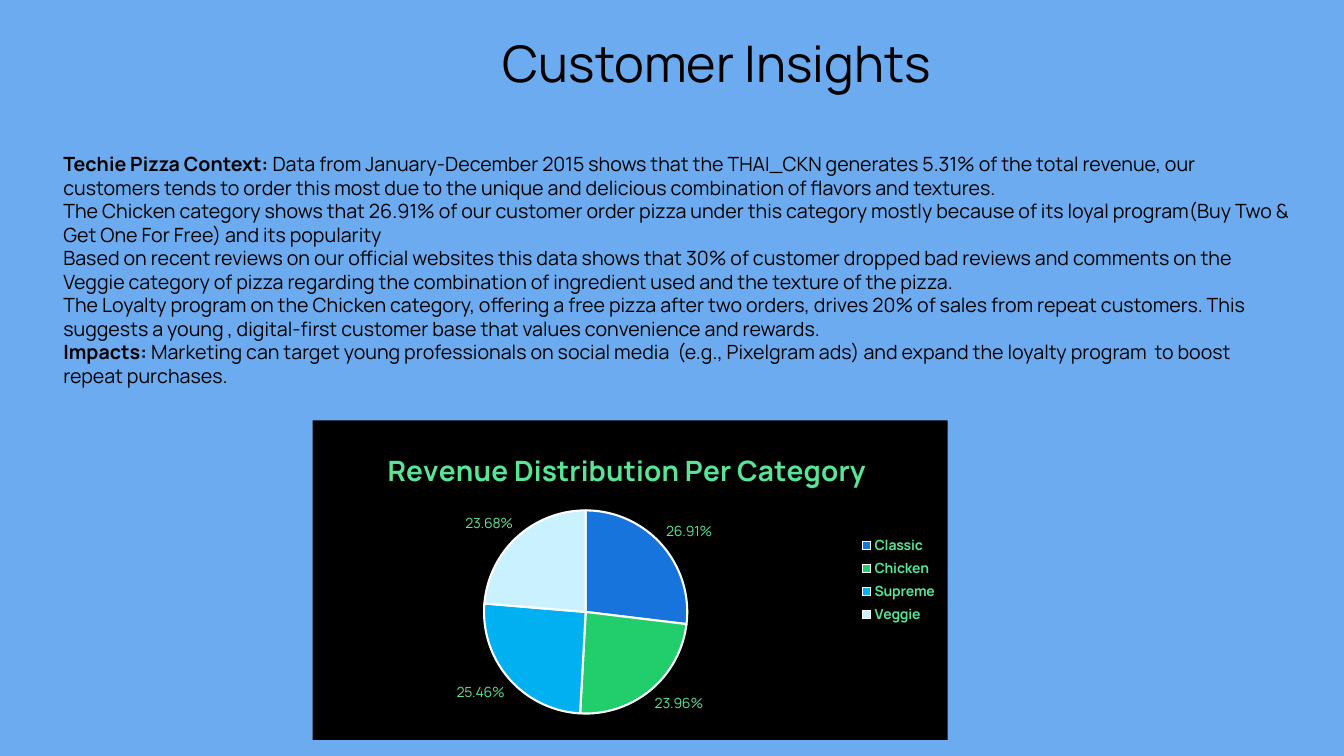
import dataclasses
import typing

import lxml.etree
import pptx
import pptx.chart.data
import pptx.dml.color
import pptx.enum.chart
import pptx.enum.text
import pptx.oxml
import pptx.oxml.ns
import pptx.util

FONT = "Manrope"
COLOURS = {
    "background": "6CABF0",
    "text": "000000",
    "panel": "000000",
    "accent": "5AE495",
    "outline": "FFFFFF",
}


@dataclasses.dataclass(frozen=True)
class Area:
    left: float
    top: float
    width: float
    height: float

    def lengths(self) -> tuple:
        return tuple(map(pptx.util.Inches, dataclasses.astuple(self)))


@dataclasses.dataclass(frozen=True)
class Insight:
    body: str
    lead: str = ""


@dataclasses.dataclass(frozen=True)
class Category:
    name: str
    share: float
    colour: str


INSIGHTS = [
    Insight(
        "Data from January-December 2015 shows that the THAI_CKN generates 5.31% of the total revenue, "
        "our customers tends to order this most due to the unique and delicious combination of flavors "
        "and textures.",
        lead="Techie Pizza Context: ",
    ),
    Insight(
        "The Chicken category shows that 26.91% of our customer order pizza under this category mostly "
        "because of its loyal program(Buy Two & Get One For Free) and its popularity"
    ),
    Insight(
        "Based on recent reviews on our official websites this data shows that 30% of customer dropped "
        "bad reviews and comments on the Veggie category of pizza regarding the combination of ingredient "
        "used and the texture of the pizza."
    ),
    Insight(
        "The Loyalty program on the Chicken category, offering a free pizza after two orders, drives 20% "
        "of sales from repeat customers. This suggests a young , digital-first customer base that values "
        "convenience and rewards."
    ),
    Insight(
        " Marketing can target young professionals on social media  (e.g., Pixelgram ads) and expand the "
        "loyalty program  to boost repeat purchases.",
        lead="Impacts:",
    ),
]

CATEGORIES = [
    Category("Classic", 0.2691, "1674DC"),
    Category("Chicken", 0.2396, "22CD6B"),
    Category("Supreme", 0.2546, "00B0F0"),
    Category("Veggie", 0.2368, "C9F1FF"),
]


def rgb(colour: str) -> pptx.dml.color.RGBColor:
    return pptx.dml.color.RGBColor.from_string(colour)


def style_font(font: typing.Any, size: float, colour: str, bold: bool = False) -> None:
    font.name = FONT
    font.size = pptx.util.Pt(size)
    font.bold = bold
    font.color.rgb = rgb(colour)


def add_heading(page: typing.Any, text: str, area: Area) -> None:
    frame = page.shapes.add_textbox(*area.lengths()).text_frame
    frame.word_wrap = True
    frame.vertical_anchor = pptx.enum.text.MSO_ANCHOR.MIDDLE
    frame.margin_left = frame.margin_right = frame.margin_top = frame.margin_bottom = 0
    frame.text = text
    para = frame.paragraphs[0]
    para.alignment = pptx.enum.text.PP_ALIGN.CENTER
    style_font(para.runs[0].font, 36, COLOURS["text"])


def add_insights(page: typing.Any, insights: list[Insight], area: Area) -> None:
    frame = page.shapes.add_textbox(*area.lengths()).text_frame
    frame.word_wrap = True
    for index, insight in enumerate(insights):
        para = frame.add_paragraph() if index else frame.paragraphs[0]
        for text, bold in ((insight.lead, True), (insight.body, False)):
            if text:
                span = para.add_run()
                span.text = text
                style_font(span.font, 14, COLOURS["text"], bold)


def chart_layout(target: str, **fractions: float) -> typing.Any:
    namespace = pptx.oxml.ns.nsdecls("c")
    layout = pptx.oxml.parse_xml(f"<c:layout {namespace}><c:manualLayout/></c:layout>")
    values = {"xMode": "edge", "yMode": "edge", **fractions}
    if target:
        values = {"layoutTarget": target, **values}
    for name, value in values.items():
        entry = lxml.etree.SubElement(layout[0], pptx.oxml.ns.qn(f"c:{name}"))
        entry.set("val", str(value))
    return layout


def fill_chart_area(chart: typing.Any, colour: str) -> None:
    namespaces = pptx.oxml.ns.nsdecls("c", "a")
    panel = pptx.oxml.parse_xml(
        f'<c:spPr {namespaces}><a:solidFill><a:srgbClr val="{colour}"/></a:solidFill>'
        "<a:ln><a:noFill/></a:ln></c:spPr>"
    )
    chart.element.chart.addnext(panel)


def add_revenue_chart(page: typing.Any, title: str, categories: list[Category], area: Area) -> None:
    data = pptx.chart.data.CategoryChartData(number_format="0.00%")
    data.categories = [category.name for category in categories]
    data.add_series("Series 1", [category.share for category in categories])
    chart = page.shapes.add_chart(pptx.enum.chart.XL_CHART_TYPE.PIE, *area.lengths(), data).chart
    style_font(chart.font, 10, COLOURS["accent"])
    fill_chart_area(chart, COLOURS["panel"])

    chart.has_title = True
    para = chart.chart_title.text_frame.paragraphs[0]
    para.text = title
    style_font(para.runs[0].font, 20, COLOURS["accent"], bold=True)
    title_element = chart.element.chart.find(pptx.oxml.ns.qn("c:title"))
    for automatic in title_element.findall(pptx.oxml.ns.qn("c:layout")):
        title_element.remove(automatic)
    title_element.find(pptx.oxml.ns.qn("c:tx")).addnext(chart_layout("", x=0.11, y=0.07))
    chart.chart_title.include_in_layout = False

    chart.has_legend = True
    chart.legend.position = pptx.enum.chart.XL_LEGEND_POSITION.RIGHT
    chart.legend.include_in_layout = False
    style_font(chart.legend.font, 10, COLOURS["accent"], bold=True)

    plot = chart.plots[0]
    plot.vary_by_categories = True
    series = plot.series[0]
    for index, category in enumerate(categories):
        wedge = series.points[index].format
        wedge.fill.solid()
        wedge.fill.fore_color.rgb = rgb(category.colour)
        wedge.line.color.rgb = rgb(COLOURS["outline"])
        wedge.line.width = pptx.util.Pt(1.5)

    labels = series.data_labels
    labels.show_value = True
    labels.show_percentage = False
    labels.number_format = "0.00%"
    labels.number_format_is_linked = False
    labels.position = pptx.enum.chart.XL_LABEL_POSITION.OUTSIDE_END
    style_font(labels.font, 10, COLOURS["accent"])

    plot_area = chart.element.chart.plotArea
    for automatic in plot_area.findall(pptx.oxml.ns.qn("c:layout")):
        plot_area.remove(automatic)
    plot_area.insert(0, chart_layout("inner", x=0.27, y=0.28, w=0.32, h=0.64))


def main() -> None:
    deck = pptx.Presentation()
    deck.slide_width = pptx.util.Inches(13.33)
    deck.slide_height = pptx.util.Inches(7.5)
    page = deck.slides.add_slide(deck.slide_layouts[6])
    page.background.fill.solid()
    page.background.fill.fore_color.rgb = rgb(COLOURS["background"])
    add_heading(page, "Customer Insights", Area(3.11, 0.13, 8, 0.97))
    add_insights(page, INSIGHTS, Area(0.53, 1.46, 12.4, 2.69))
    add_revenue_chart(page, "Revenue Distribution Per Category", CATEGORIES, Area(3.1, 4.17, 6.3, 3.17))
    deck.save("out.pptx")


if __name__ == "__main__":
    main()
